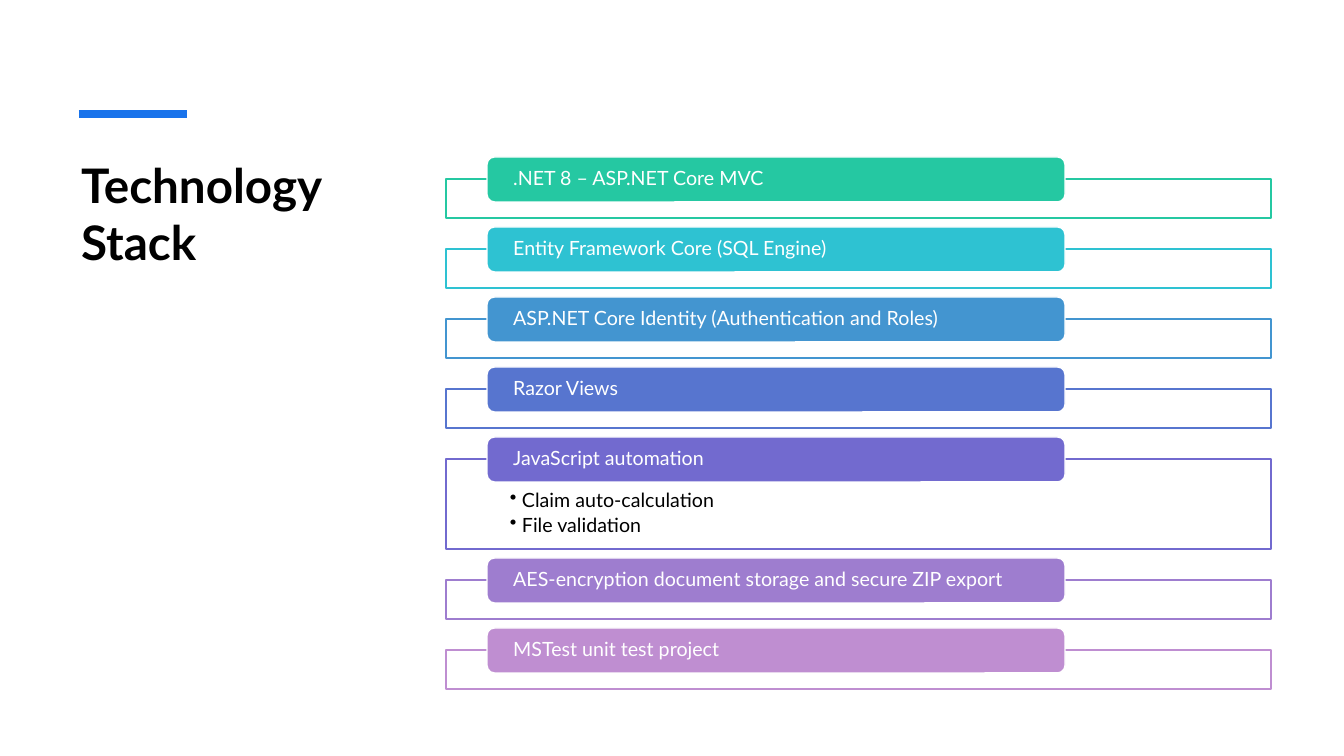
from dataclasses import dataclass

import lxml.etree
import pptx
import pptx.dml.color
import pptx.enum.shapes
import pptx.enum.text
import pptx.oxml.ns
import pptx.presentation
import pptx.shapes.autoshape
import pptx.slide
import pptx.util

EMU_PER_PX = 914400 / 100.8
FRAME_LEFT, FRAME_WIDTH, FIRST_FRAME_TOP = 446, 825, 179
TAB_LEFT, TAB_WIDTH, TAB_HEIGHT, TAB_RISE = 487, 578, 45, 22
FRAME_GAP = 31


@dataclass(frozen=True)
class Theme:
    font: str = "Lato"
    title_size: int = 34
    body_size: int = 14
    outline: int = 1
    accent_width: int = 6
    accent: str = "1973EB"
    dark: str = "000000"
    light: str = "FFFFFF"
    frame_opacity: int = 90


@dataclass(frozen=True)
class Technology:
    name: str
    color: str
    details: tuple[str, ...] = ()
    frame_height: int = 39


THEME = Theme()
TECHNOLOGIES = (
    Technology(".NET 8 – ASP.NET Core MVC", "25C8A2"),
    Technology("Entity Framework Core (SQL Engine)", "2EC2D2"),
    Technology("ASP.NET Core Identity (Authentication and Roles)", "4395D0"),
    Technology("Razor Views", "5775CF"),
    Technology("JavaScript automation", "726ACF", ("Claim auto-calculation", "File validation"), 90),
    Technology("AES-encryption document storage and secure ZIP export", "9E7DCF"),
    Technology("MSTest unit test project", "BF8ED1"),
)


def px(value: int) -> pptx.util.Emu:
    return pptx.util.Emu(round(value * EMU_PER_PX))


def rgb(color: str) -> pptx.dml.color.RGBColor:
    return pptx.dml.color.RGBColor.from_string(color)


def add_element(parent: lxml.etree._Element, tag: str, **attributes: str) -> None:
    lxml.etree.SubElement(parent, pptx.oxml.ns.qn(tag), attributes)


def style_font(font: pptx.text.text.Font, size: int, color: str, bold: bool = False) -> None:
    font.name = THEME.font
    font.size = pptx.util.Pt(size)
    font.bold = bold
    font.color.rgb = rgb(color)


def add_box(
    slide: pptx.slide.Slide,
    kind: pptx.enum.shapes.MSO_SHAPE,
    bounds: tuple[int, int, int, int],
    fill: str,
    line: str,
) -> pptx.shapes.autoshape.Shape:
    shape = slide.shapes.add_shape(kind, *map(px, bounds))
    shape.shadow.inherit = False
    shape.fill.solid()
    shape.fill.fore_color.rgb = rgb(fill)
    shape.line.color.rgb = rgb(line)
    shape.line.width = pptx.util.Pt(THEME.outline)
    return shape


def write_text(
    shape: pptx.shapes.autoshape.Shape,
    lines: tuple[str, ...],
    color: str,
    insets: tuple[int, int, int, int],
    anchor: pptx.enum.text.MSO_ANCHOR,
    bulleted: bool = False,
) -> None:
    frame = shape.text_frame
    frame.word_wrap = True
    frame.vertical_anchor = anchor
    frame.margin_left, frame.margin_top, frame.margin_right, frame.margin_bottom = map(px, insets)
    frame.text = "\n".join(lines)
    for paragraph in frame.paragraphs:
        paragraph.alignment = pptx.enum.text.PP_ALIGN.LEFT
        paragraph.line_spacing = 0.9
        if bulleted:
            paragraph.space_after = pptx.util.Pt(2.1)
            properties = paragraph._p.get_or_add_pPr()
            properties.set("marL", str(px(12)))
            properties.set("indent", str(-px(12)))
            add_element(properties, "a:buChar", char="•")
        style_font(paragraph.font, THEME.body_size, color)


def add_technology(slide: pptx.slide.Slide, technology: Technology, top: int) -> None:
    frame = add_box(
        slide,
        pptx.enum.shapes.MSO_SHAPE.RECTANGLE,
        (FRAME_LEFT, top, FRAME_WIDTH, technology.frame_height),
        THEME.light,
        technology.color,
    )
    fill_color = frame._element.spPr.find(".//" + pptx.oxml.ns.qn("a:srgbClr"))
    add_element(fill_color, "a:alpha", val=str(THEME.frame_opacity * 1000))
    if technology.details:
        write_text(
            frame, technology.details, THEME.dark, (64, 32, 64, 11),
            pptx.enum.text.MSO_ANCHOR.TOP, bulleted=True,
        )
    tab = add_box(
        slide,
        pptx.enum.shapes.MSO_SHAPE.ROUNDED_RECTANGLE,
        (TAB_LEFT, top - TAB_RISE, TAB_WIDTH, TAB_HEIGHT),
        technology.color,
        THEME.light,
    )
    write_text(tab, (technology.name,), THEME.light, (24, 0, 24, 0), pptx.enum.text.MSO_ANCHOR.MIDDLE)


def add_title(slide: pptx.slide.Slide, text: str) -> None:
    title = slide.shapes.title
    title.left, title.top, title.width, title.height = map(px, (71, 151, 292, 458))
    frame = title.text_frame
    frame.text = text
    frame.word_wrap = True
    frame.auto_size = pptx.enum.text.MSO_AUTO_SIZE.NONE
    frame.vertical_anchor = pptx.enum.text.MSO_ANCHOR.TOP
    paragraph = frame.paragraphs[0]
    paragraph.alignment = pptx.enum.text.PP_ALIGN.LEFT
    style_font(paragraph.font, THEME.title_size, THEME.dark, bold=True)


def add_accent(slide: pptx.slide.Slide) -> None:
    accent = slide.shapes.add_connector(
        pptx.enum.shapes.MSO_CONNECTOR.STRAIGHT, px(79), px(114), px(187), px(114)
    )
    accent.line.color.rgb = rgb(THEME.accent)
    accent.line.width = pptx.util.Pt(THEME.accent_width)
    add_element(accent._element.spPr, "a:effectLst")


def build_slide(presentation: pptx.presentation.Presentation) -> None:
    slide = presentation.slides.add_slide(presentation.slide_layouts.get_by_name("Title Only"))
    add_title(slide, "Technology Stack")
    add_accent(slide)
    top = FIRST_FRAME_TOP
    for technology in TECHNOLOGIES:
        add_technology(slide, technology, top)
        top += technology.frame_height + FRAME_GAP


def main() -> None:
    presentation = pptx.Presentation()
    presentation.slide_width = px(1344)
    presentation.slide_height = px(756)
    build_slide(presentation)
    presentation.save("out.pptx")


if __name__ == "__main__":
    main()
